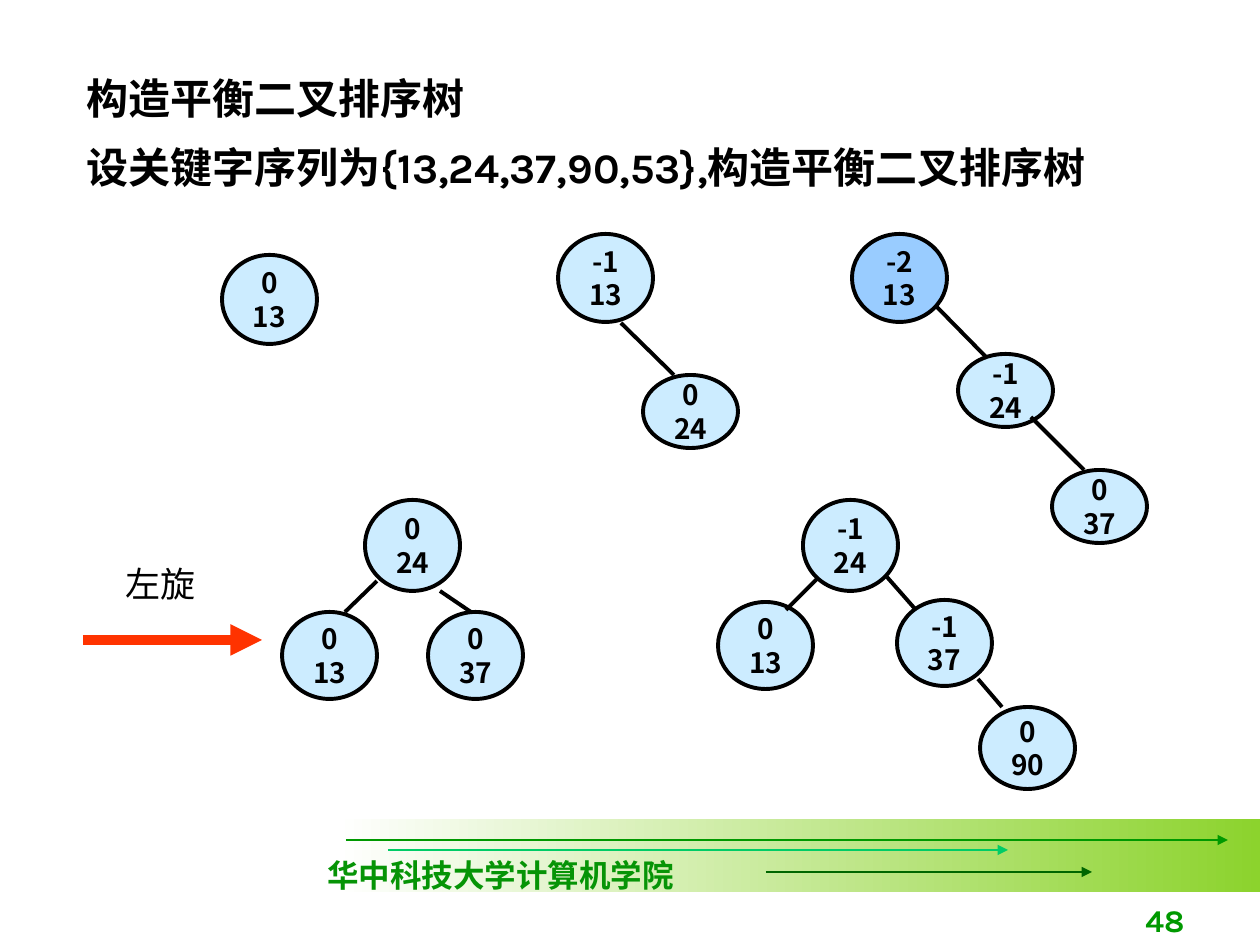
from dataclasses import dataclass
from typing import NamedTuple

from lxml import etree
from pptx import Presentation
from pptx.dml.color import RGBColor
from pptx.enum.shapes import MSO_CONNECTOR, MSO_SHAPE
from pptx.enum.text import MSO_ANCHOR, MSO_AUTO_SIZE, PP_ALIGN
from pptx.oxml.ns import qn
from pptx.util import Emu, Pt

EMU_PER_PX = 914400 / 126
LEFT, CENTER, RIGHT = PP_ALIGN.LEFT, PP_ALIGN.CENTER, PP_ALIGN.RIGHT
TOP, MIDDLE, BOTTOM = MSO_ANCHOR.TOP, MSO_ANCHOR.MIDDLE, MSO_ANCHOR.BOTTOM
OVAL, RECTANGLE = MSO_SHAPE.OVAL, MSO_SHAPE.RECTANGLE
STRAIGHT = MSO_CONNECTOR.STRAIGHT
NO_AUTOFIT = MSO_AUTO_SIZE.NONE

BLACK = RGBColor(0x00, 0x00, 0x00)
WHITE = RGBColor(0xFF, 0xFF, 0xFF)
PALE_BLUE = RGBColor(0xCC, 0xEC, 0xFF)
UNBALANCED_BLUE = RGBColor(0x99, 0xCC, 0xFF)
ROTATION_RED = RGBColor(0xFF, 0x33, 0x00)
BAND_GREEN = RGBColor(0x8C, 0xD3, 0x2D)
GREEN = RGBColor(0x00, 0x99, 0x00)
MINT = RGBColor(0x00, 0xCC, 0x66)
DARK_GREEN = RGBColor(0x00, 0x66, 0x00)
SCHOOL_GREEN = RGBColor(0x06, 0x94, 0x06)

CJK_FONT = "Noto Sans CJK SC"
NODE_WIDTH = 95


class Box(NamedTuple):
    left: int
    top: int
    width: int
    height: int


@dataclass(frozen=True)
class TextStyle:
    size: int
    name: str = CJK_FONT
    color: RGBColor = BLACK
    bold: bool = True
    align: PP_ALIGN = LEFT
    anchor: MSO_ANCHOR = TOP
    wrap: bool = True


class Node(NamedTuple):
    balance: int
    key: int
    left: int
    top: int
    height: int
    color: RGBColor = PALE_BLUE


class Line(NamedTuple):
    x1: int
    y1: int
    x2: int
    y2: int
    color: RGBColor = BLACK
    width: float = 2.25
    arrow: bool = False


HEADING = TextStyle(24, "Karla")
NODE_TEXT = TextStyle(16, align=CENTER, anchor=MIDDLE, wrap=False)
ROTATION_TEXT = TextStyle(20, bold=False)
SCHOOL_TEXT = TextStyle(18, "Times New Roman", SCHOOL_GREEN, wrap=False)
PAGE_TEXT = TextStyle(18, "Karla", GREEN, align=RIGHT, anchor=BOTTOM)

FOOTER_ARROWS = [
    Line(346, 840, 1228, 840, GREEN, 0.75, True),
    Line(388, 850, 1008, 850, MINT, 0.75, True),
    Line(766, 872, 1092, 872, DARK_GREEN, 0.75, True),
]
NODES = [
    Node(0, 13, 222, 255, 89),
    Node(-1, 13, 558, 234, 88),
    Node(0, 24, 643, 375, 73),
    Node(-2, 13, 852, 234, 88, UNBALANCED_BLUE),
    Node(-1, 24, 958, 354, 73),
    Node(0, 37, 1052, 470, 73),
    Node(0, 24, 365, 500, 91),
    Node(0, 13, 282, 612, 87),
    Node(0, 37, 428, 612, 87),
    Node(-1, 24, 803, 500, 91),
    Node(0, 13, 718, 602, 87),
    Node(-1, 37, 897, 600, 86),
    Node(0, 90, 980, 707, 82),
]
EDGES = [
    Line(621, 323, 674, 375),
    Line(935, 305, 987, 358),
    Line(1031, 417, 1084, 470),
    Line(377, 581, 345, 612),
    Line(440, 591, 471, 612),
    Line(818, 578, 786, 610),
    Line(887, 577, 916, 610),
    Line(978, 679, 1002, 707),
]
ROTATION_ARROW = Line(83, 640, 262, 640, ROTATION_RED, 6, True)


def px(length: int) -> Emu:
    return Emu(round(length * EMU_PER_PX))


def write(shape, lines: list[str], style: TextStyle) -> None:
    frame = shape.text_frame
    frame.auto_size = NO_AUTOFIT
    frame.word_wrap = style.wrap
    frame.vertical_anchor = style.anchor
    frame.text = "\n".join(lines)
    font_format = {"size": Pt(style.size), "name": style.name, "bold": style.bold}
    for paragraph in frame.paragraphs:
        paragraph.alignment = style.align
        for run in paragraph.runs:
            for attribute, value in font_format.items():
                setattr(run.font, attribute, value)
            run.font.color.rgb = style.color
    for properties in shape.element.iter(qn("a:rPr")):
        properties.find(qn("a:latin")).addnext(
            etree.Element(qn("a:ea"), typeface=CJK_FONT))


def fill_placeholder(placeholder, box: Box, text: str) -> None:
    for attribute, value in box._asdict().items():
        setattr(placeholder, attribute, px(value))
    write(placeholder, [text], HEADING)
    paragraph = placeholder.text_frame.paragraphs[0]
    properties = paragraph._p.get_or_add_pPr()
    properties.set("marL", "0")
    properties.set("indent", "0")
    etree.SubElement(properties, qn("a:buNone"))
    paragraph.space_before = Pt(0)


def add_label(shapes, box: Box, text: str, style: TextStyle) -> None:
    write(shapes.add_textbox(*map(px, box)), [text], style)


def add_line(shapes, line: Line) -> None:
    connector = shapes.add_connector(STRAIGHT, *map(px, line[:4]))
    connector.line.color.rgb = line.color
    connector.line.width = Pt(line.width)
    properties = connector.element.spPr
    if line.arrow:
        etree.SubElement(properties.find(qn("a:ln")), qn("a:tailEnd"), type="triangle")
    etree.SubElement(properties, qn("a:effectLst"))


def add_node(shapes, node: Node) -> None:
    box = Box(node.left, node.top, NODE_WIDTH, node.height)
    oval = shapes.add_shape(OVAL, *map(px, box))
    oval.shadow.inherit = False
    oval.fill.solid()
    oval.fill.fore_color.rgb = node.color
    oval.line.color.rgb = BLACK
    oval.line.width = Pt(2.25)
    write(oval, [str(node.balance), str(node.key)], NODE_TEXT)


def add_footer(shapes) -> None:
    band = shapes.add_shape(RECTANGLE, *map(px, Box(336, 819, 924, 73)))
    band.shadow.inherit = False
    band.line.fill.background()
    band.fill.gradient()
    band.fill.gradient_angle = 0
    for stop, color in zip(band.fill.gradient_stops, (WHITE, BAND_GREEN)):
        stop.color.rgb = color
    for arrow in FOOTER_ARROWS:
        add_line(shapes, arrow)
    add_label(shapes, Box(315, 850, 372, 50), "华中科技大学计算机学院", SCHOOL_TEXT)
    add_label(shapes, Box(935, 882, 262, 63), "48", PAGE_TEXT)


def main() -> None:
    presentation = Presentation()
    presentation.slide_width, presentation.slide_height = px(1260), px(945)
    slide = presentation.slides.add_slide(presentation.slide_layouts[1])
    shapes = slide.shapes
    fill_placeholder(shapes.title, Box(74, 66, 774, 63), "构造平衡二叉排序树")
    fill_placeholder(slide.placeholders[1], Box(74, 135, 1101, 63),
                     "设关键字序列为{13,24,37,90,53},构造平衡二叉排序树")
    add_footer(shapes)
    for node in NODES:
        add_node(shapes, node)
    for line in [*EDGES, ROTATION_ARROW]:
        add_line(shapes, line)
    add_label(shapes, Box(113, 556, 149, 55), "左旋", ROTATION_TEXT)
    presentation.save("out.pptx")


if __name__ == "__main__":
    main()
